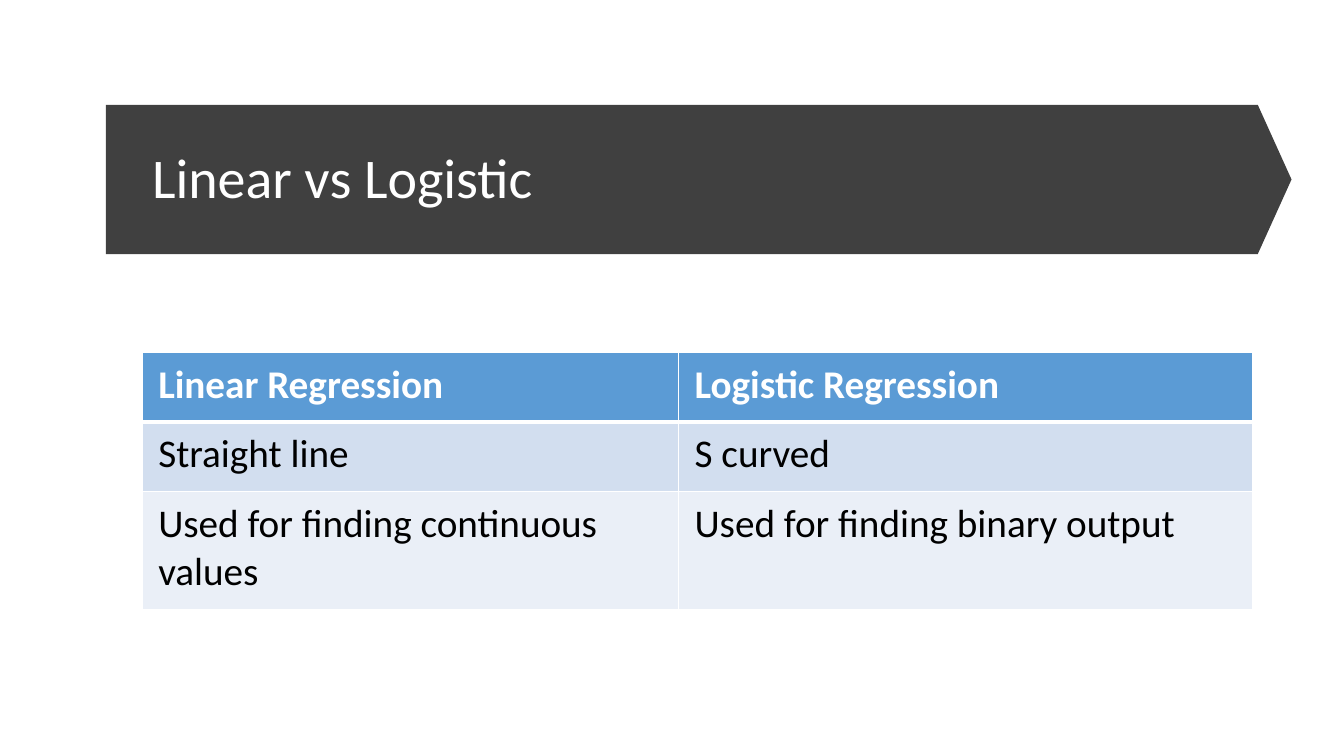
from dataclasses import dataclass

from lxml import etree
from pptx import Presentation
from pptx.dml.color import RGBColor
from pptx.enum.shapes import MSO_SHAPE
from pptx.enum.text import MSO_ANCHOR
from pptx.oxml.ns import qn
from pptx.slide import Slide
from pptx.table import _Cell
from pptx.text.text import TextFrame
from pptx.util import Inches, Pt

DOWN_ARROW = MSO_SHAPE.DOWN_ARROW
MIDDLE = MSO_ANCHOR.MIDDLE
BLANK_LAYOUT = 6
FONT = "Calibri"
COLORS = {
    "white": "FFFFFF",
    "black": "000000",
    "banner": "404040",
    "header": "5B9BD5",
    "band": "D2DEEF",
    "light_band": "EAEFF7",
}


@dataclass(frozen=True)
class TableRow:
    texts: tuple[str, str]
    height: float
    fill: str
    color: str = "black"
    bold: bool = False
    top_line: float = 1
    bottom_line: float = 1


COLUMN_WIDTHS = (5.32, 5.69)
ROWS = (
    TableRow(("Linear Regression", "Logistic Regression"), 0.69, "header",
             color="white", bold=True, bottom_line=3),
    TableRow(("Straight line", "S curved"), 0.69, "band", top_line=3),
    TableRow(("Used for finding continuous values", "Used for finding binary output"),
             1.17, "light_band"),
)


def rgb(name: str) -> RGBColor:
    return RGBColor.from_string(COLORS[name])


def write_text(frame: TextFrame, text: str, *, size: float, color: str,
               bold: bool = False, line_spacing: float = 1.0) -> None:
    frame.word_wrap = True
    para = frame.paragraphs[0]
    para.line_spacing = line_spacing
    span = para.add_run()
    span.text = text
    span.font.name = FONT
    span.font.size = Pt(size)
    span.font.bold = bold
    span.font.color.rgb = rgb(color)


def add_banner(page: Slide) -> None:
    """Draw a tall arrow turned on its side so that it points right."""
    banner = page.shapes.add_shape(
        DOWN_ARROW, Inches(6.19), Inches(-4.1), Inches(1.48), Inches(11.76))
    banner.rotation = 270
    banner.adjustments[0] = 1
    banner.adjustments[1] = 0.226
    banner.shadow.inherit = False
    banner.fill.solid()
    banner.fill.fore_color.rgb = rgb("banner")
    banner.line.fill.background()


def add_title(page: Slide) -> None:
    box = page.shapes.add_textbox(Inches(1.41), Inches(1.32), Inches(10.96), Inches(0.94))
    box.text_frame.vertical_anchor = MIDDLE
    write_text(box.text_frame, "Linear vs Logistic", size=40, color="white",
               line_spacing=0.9)


def set_borders(cell: _Cell, top: float, bottom: float) -> None:
    """Give the cell white borders; they must precede its fill in the XML."""
    properties = cell._tc.get_or_add_tcPr()
    widths = {"a:lnL": 1, "a:lnR": 1, "a:lnT": top, "a:lnB": bottom}
    for position, (tag, width) in enumerate(widths.items()):
        line = etree.Element(qn(tag), w=str(Pt(width)))
        fill = etree.SubElement(line, qn("a:solidFill"))
        etree.SubElement(fill, qn("a:srgbClr"), val=COLORS["white"])
        properties.insert(position, line)


def format_cell(cell: _Cell, text: str, row: TableRow) -> None:
    cell.margin_left = cell.margin_right = Inches(0.16)
    cell.margin_top = cell.margin_bottom = Inches(0.08)
    cell.fill.solid()
    cell.fill.fore_color.rgb = rgb(row.fill)
    set_borders(cell, row.top_line, row.bottom_line)
    write_text(cell.text_frame, text, size=28, color=row.color, bold=row.bold)


def add_comparison(page: Slide) -> None:
    height = sum(row.height for row in ROWS)
    table = page.shapes.add_table(
        len(ROWS), len(COLUMN_WIDTHS), Inches(1.41), Inches(3.5),
        Inches(sum(COLUMN_WIDTHS)), Inches(height)).table
    for column, width in zip(table.columns, COLUMN_WIDTHS):
        column.width = Inches(width)
    for row_index, row in enumerate(ROWS):
        table.rows[row_index].height = Inches(row.height)
        for column_index, text in enumerate(row.texts):
            format_cell(table.cell(row_index, column_index), text, row)


def main() -> None:
    deck = Presentation()
    deck.slide_width = Inches(13.33)
    deck.slide_height = Inches(7.5)
    page = deck.slides.add_slide(deck.slide_layouts[BLANK_LAYOUT])
    add_banner(page)
    add_title(page)
    add_comparison(page)
    deck.save("out.pptx")


if __name__ == "__main__":
    main()
